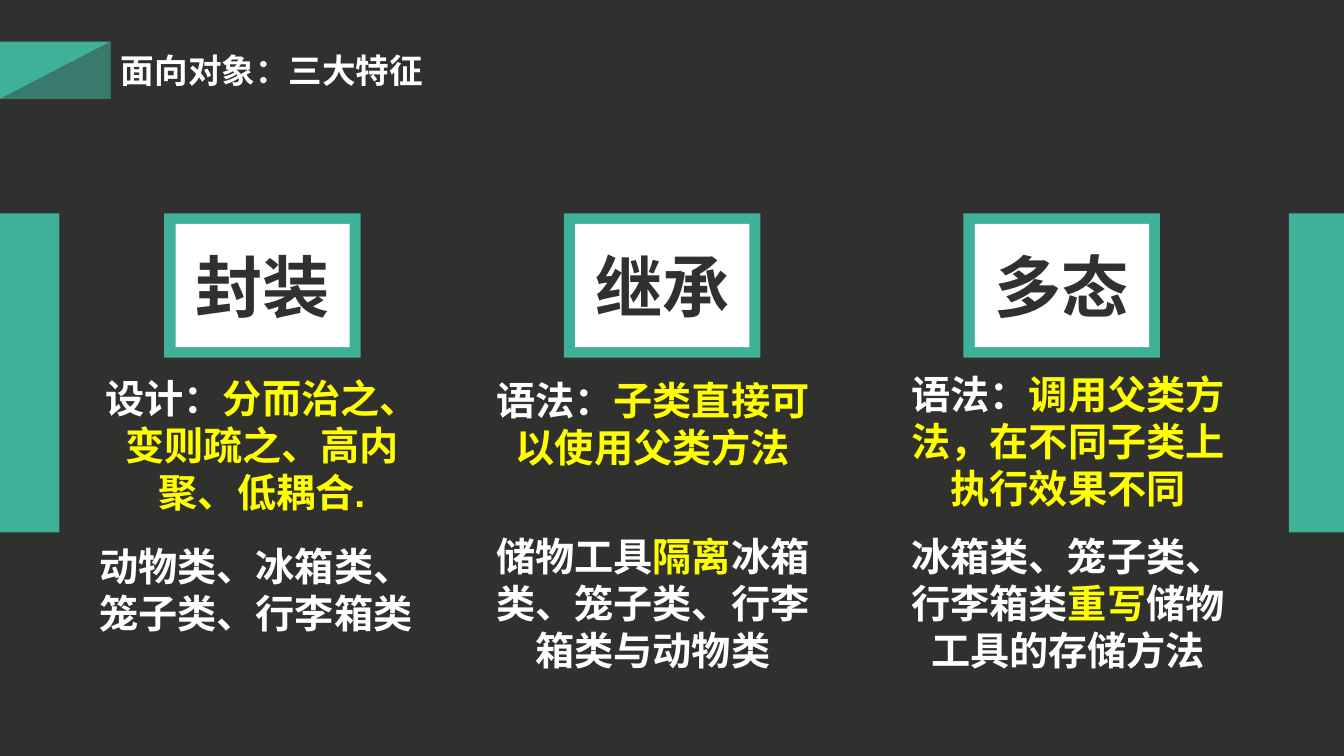
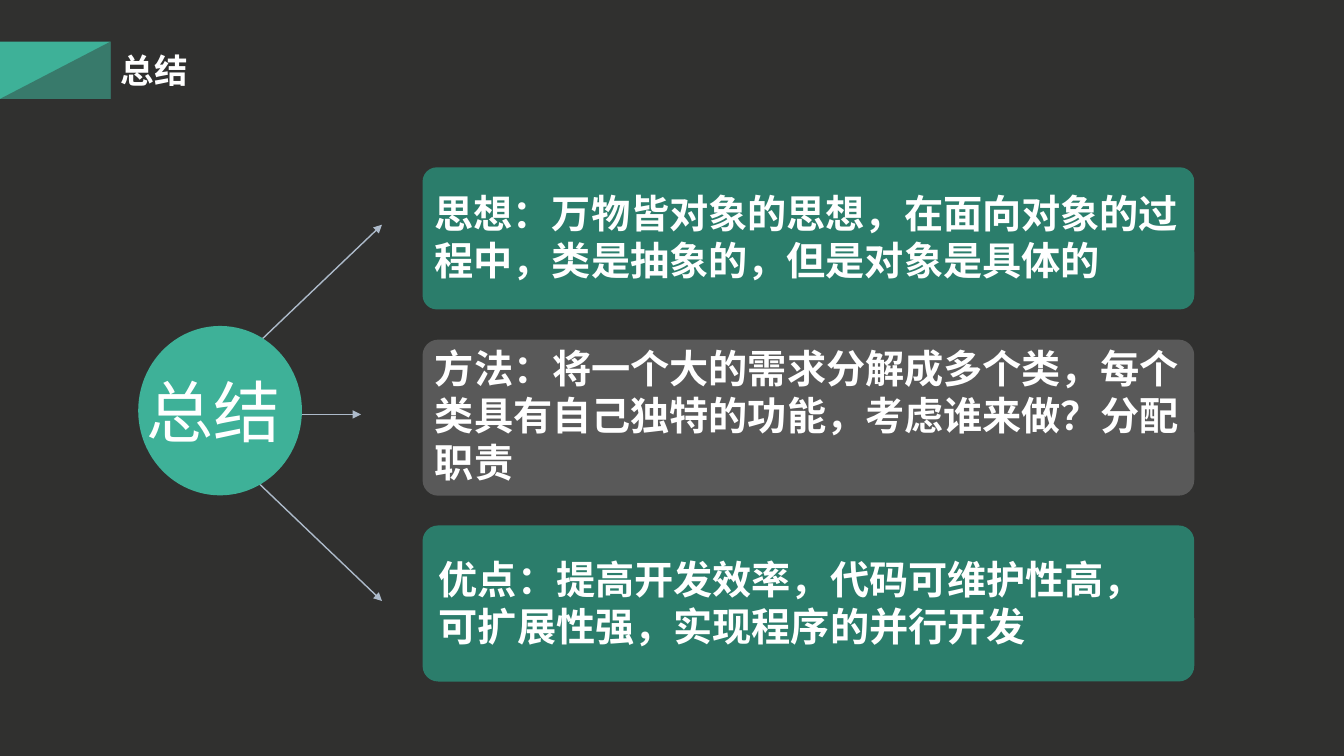
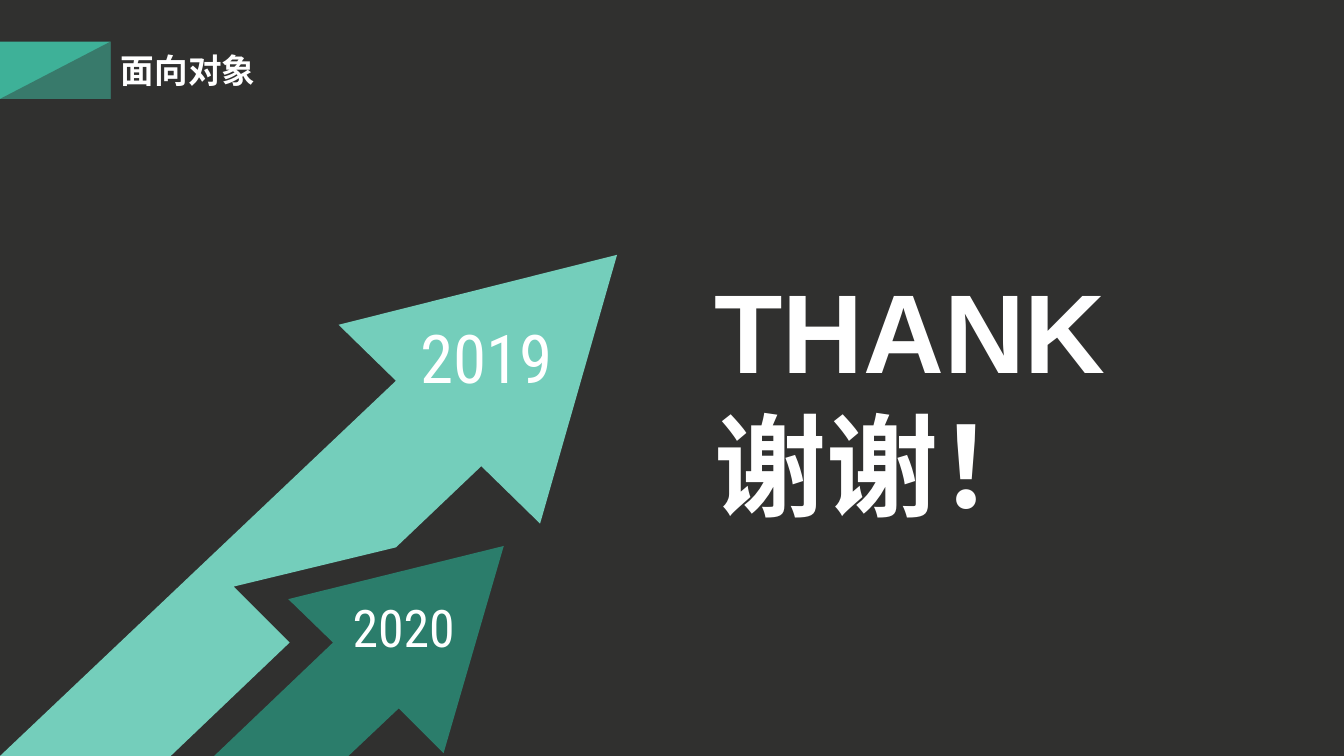
from lxml import etree
from pptx import Presentation
from pptx import util as u
from pptx.dml.color import RGBColor
from pptx.enum import shapes, text as t
from pptx.oxml.ns import qn

DARK = RGBColor(0x30, 0x30, 0x2F)
GREEN = RGBColor(0x3E, 0xB1, 0x98)
DEEP_GREEN = RGBColor(0x2B, 0x7D, 0x6B)
LIGHT_GREEN = RGBColor(0x74, 0xCE, 0xBB)
GREY = RGBColor(0x59, 0x59, 0x59)
LINE_GREY = RGBColor(0xAD, 0xBA, 0xCA)
WHITE = RGBColor(0xFF, 0xFF, 0xFF)
YELLOW = RGBColor(0xFF, 0xFF, 0x00)
CHINESE_FONT = "Noto Sans CJK SC"
SLIDE_WIDTH, SLIDE_HEIGHT = 960.5, 540
Kind = shapes.MSO_SHAPE


def write(shape, text, size=28, font="Arial", color=WHITE, bold=True, highlight="",
          align=t.PP_ALIGN.LEFT, anchor=t.MSO_ANCHOR.TOP, insets=(7.2, 3.6, 7.2, 3.6)):
    """Fill a shape with text; the highlighted part is yellow."""
    frame = shape.text_frame
    frame.word_wrap = True
    frame.auto_size = t.MSO_AUTO_SIZE.NONE
    frame.vertical_anchor = anchor
    frame.margin_left, frame.margin_top, frame.margin_right, frame.margin_bottom = map(u.Pt, insets)
    frame.text = text
    for paragraph in frame.paragraphs:
        line = paragraph.text
        paragraph.clear()
        paragraph.alignment = align
        paragraph._p.get_or_add_pPr().set("hangingPunct", "0")
        for part in line.partition(highlight) if highlight else [line]:
            run = paragraph.add_run()
            run.text = part
            run.font.size = u.Pt(size)
            run.font.name = font
            run.font.bold = bold
            run.font.color.rgb = YELLOW if part == highlight else color
            east_asian = etree.SubElement(run.font._element, qn("a:ea"))
            east_asian.set("typeface", CHINESE_FONT)


def add_block(slide, kind, left, top, width, height, fill):
    """Add a plain filled shape without outline or shadow."""
    shape = slide.shapes.add_shape(kind, u.Pt(left), u.Pt(top), u.Pt(width), u.Pt(height))
    shape.shadow.inherit = False
    shape.fill.solid()
    shape.fill.fore_color.rgb = fill
    shape.line.fill.background()
    return shape


presentation = Presentation()
presentation.slide_width = u.Pt(SLIDE_WIDTH)
presentation.slide_height = u.Pt(SLIDE_HEIGHT)
background = presentation.slide_master.background.fill
background.solid()
background.fore_color.rgb = DARK

# Shared title and corner band
slides = []
for heading in ["面向对象：三大特征", "总结", "面向对象"]:
    slide = presentation.slides.add_slide(presentation.slide_layouts.get_by_name("Title Only"))
    add_block(slide, Kind.RECTANGLE, 0, 29.7, 79, 41, GREEN)
    corner = add_block(slide, Kind.RIGHT_TRIANGLE, 0, 29.7, 79, 41, DARK)
    corner._element.spPr.xfrm.set("flipH", "1")
    corner_color = corner._element.spPr.find(".//" + qn("a:srgbClr"))
    etree.SubElement(corner_color, qn("a:alpha")).set("val", "42000")
    title = slide.shapes.title
    title.left, title.top, title.width, title.height = map(u.Pt, (79.2, 31.7, 236, 36))
    write(title, heading, size=24, font=CHINESE_FONT, anchor=t.MSO_ANCHOR.MIDDLE)
    slides.append(slide)
features_slide, summary_slide, thanks_slide = slides

# Slide 1: side bars
add_block(features_slide, Kind.RECTANGLE, 0, 152.4, 42.5, 228, GREEN)
add_block(features_slide, Kind.RECTANGLE, 921.2, 152.4, 39.3, 228, GREEN)

# Slide 1: three features, each with (text, highlight, left, top, width)
features = [
    ("封装", [("设计：分而治之、变则疏之、高内聚、低耦合.", "分而治之、变则疏之、高内聚、低耦合.", 64.8, 263.5, 245),
              ("动物类、冰箱类、笼子类、行李箱类", "", 55.8, 383.8, 254)]),
    ("继承", [("语法：子类直接可以使用父类方法", "子类直接可以使用父类方法", 346.5, 265, 240),
              ("储物工具隔离冰箱类、笼子类、行李箱类与动物类", "隔离", 339.5, 376.5, 254)]),
    ("多态", [("语法：调用父类方法，在不同子类上执行效果不同", "调用父类方法，在不同子类上执行效果不同", 640.8, 261, 245),
              ("冰箱类、笼子类、行李箱类重写储物工具的存储方法", "重写", 636.2, 376.5, 254)]),
]
for index, (name, notes) in enumerate(features):
    left = 117.3 + 285.6 * index
    add_block(features_slide, Kind.RECTANGLE, left, 152.5, 140.5, 103, GREEN)
    plate = add_block(features_slide, Kind.RECTANGLE, left + 8.2, 160, 124.5, 88, WHITE)
    write(plate, name, size=48, color=DARK, align=t.PP_ALIGN.CENTER, anchor=t.MSO_ANCHOR.MIDDLE)
    for text, highlight, note_left, top, width in notes:
        box = features_slide.shapes.add_textbox(u.Pt(note_left), u.Pt(top), u.Pt(width), u.Pt(108))
        write(box, text, highlight=highlight, align=t.PP_ALIGN.CENTER)

# Slide 2: arrows from the hub
for start_y, end_x, end_y in [(265.7, 273, 160.5), (324, 273, 429.3), (296, 258, 296)]:
    arrow = summary_slide.shapes.add_connector(
        shapes.MSO_CONNECTOR.STRAIGHT, u.Pt(162.7), u.Pt(start_y), u.Pt(end_x), u.Pt(end_y))
    arrow.line.color.rgb = LINE_GREY
    arrow.line.width = u.Pt(1)
    outline = arrow.line._get_or_add_ln()
    etree.SubElement(outline, qn("a:headEnd")).set("type", "oval")
    etree.SubElement(outline, qn("a:tailEnd")).set("type", "triangle")
    etree.SubElement(arrow._element.spPr, qn("a:effectLst"))

# Slide 2: hub
add_block(summary_slide, Kind.OVAL, 98.8, 232.8, 117, 121, GREEN)
hub_label = summary_slide.shapes.add_textbox(u.Pt(97.5), u.Pt(261), u.Pt(118), u.Pt(65))
write(hub_label, "总结", size=48, font=CHINESE_FONT, bold=False)

# Slide 2: cards
cards = [
    (119.5, 101.5, DEEP_GREEN, (5.6, 0, 2, 3), "思想：万物皆对象的思想，在面向对象的过程中，类是抽象的，但是对象是具体的"),
    (242.6, 111.5, GREY, (5.6, 0, 2, 4), "方法：将一个大的需求分解成多个类，每个类具有自己独特的功能，考虑谁来做？分配职责"),
    (375.3, 111.5, DEEP_GREEN, (8.4, 0, 10, 1), "优点：提高开发效率，代码可维护性高，可扩展性强，实现程序的并行开发"),
]
for top, height, fill, insets, text in cards:
    card = add_block(summary_slide, Kind.ROUNDED_RECTANGLE, 302, top, 551.5, height, fill)
    card.adjustments[0] = 0.1
    write(card, text, insets=insets, anchor=t.MSO_ANCHOR.MIDDLE)

# Slide 3: rising arrows
rising_arrows = [
    (LIGHT_GREEN, [(441.3, 182), (241.5, 231.6), (283, 272.3), (0, 540), (121.8, 540), (207.3, 458.6),
                   (167.3, 419.3), (283, 391.2), (344.3, 333.2), (385.8, 374.3)]),
    (DEEP_GREEN, [(360, 389.5), (206.2, 427.7), (238, 459), (152.6, 540), (249.3, 540), (285.4, 506), (317.4, 537.5)]),
]
for fill, points in rising_arrows:
    builder = thanks_slide.shapes.build_freeform(*points[0], scale=u.Pt(1))
    builder.add_line_segments(points[1:], close=True)
    rising = builder.convert_to_shape()
    rising.shadow.inherit = False
    rising.fill.solid()
    rising.fill.fore_color.rgb = fill
    rising.line.fill.background()

# Slide 3: years and thanks
year_style = dict(font="Roboto Condensed", bold=False, align=t.PP_ALIGN.CENTER)
labels = [
    (270, 222.2, 155.5, 65, "2019", dict(size=48, **year_style)),
    (222.5, 422, 132, 52, "2020", dict(size=37, **year_style)),
    (503.3, 183.6, 297.5, 199.5, "THANK\n谢谢！", dict(size=80)),
]
for left, top, width, height, text, style in labels:
    box = thanks_slide.shapes.add_textbox(u.Pt(left), u.Pt(top), u.Pt(width), u.Pt(height))
    write(box, text, **style)

presentation.save("out.pptx")
